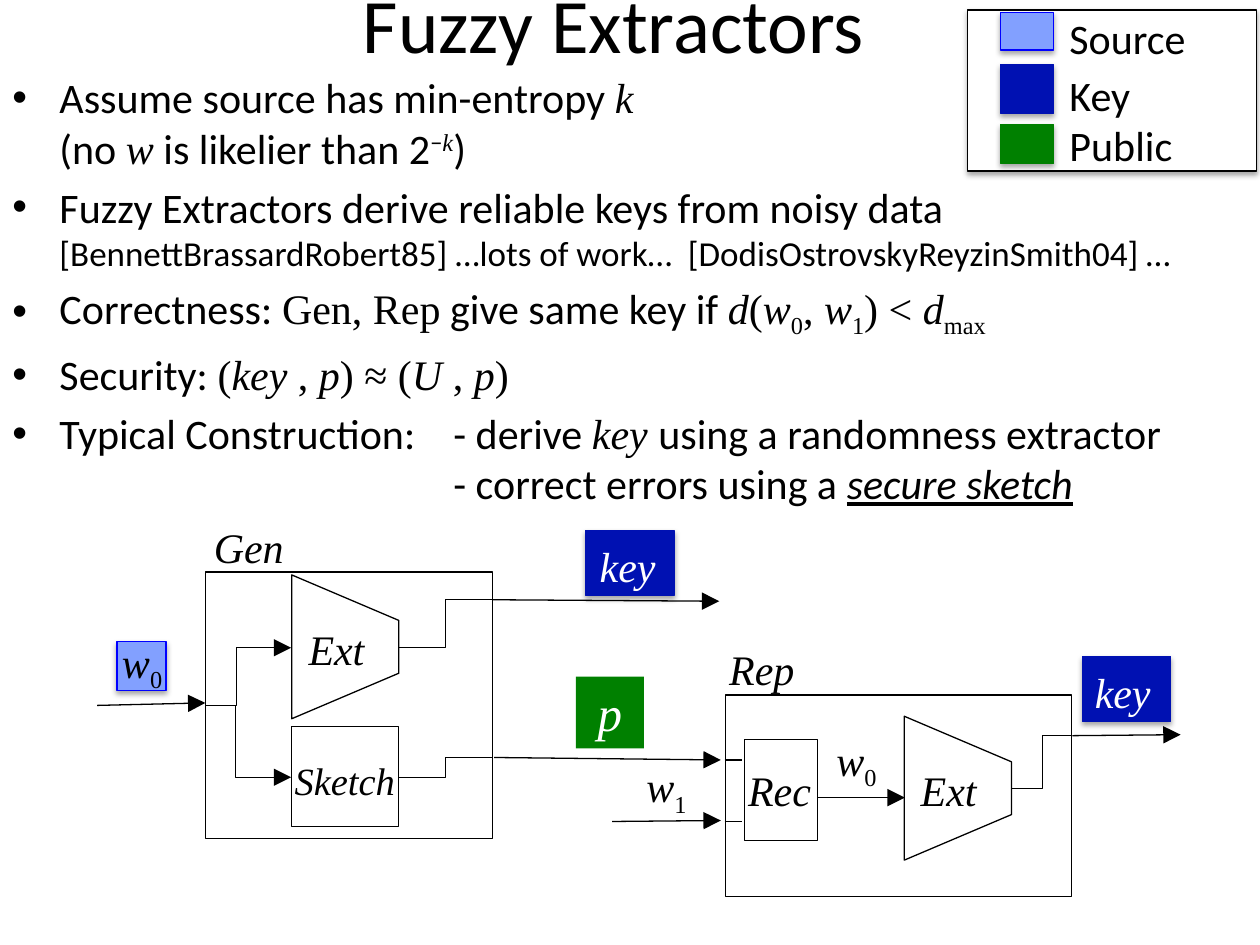
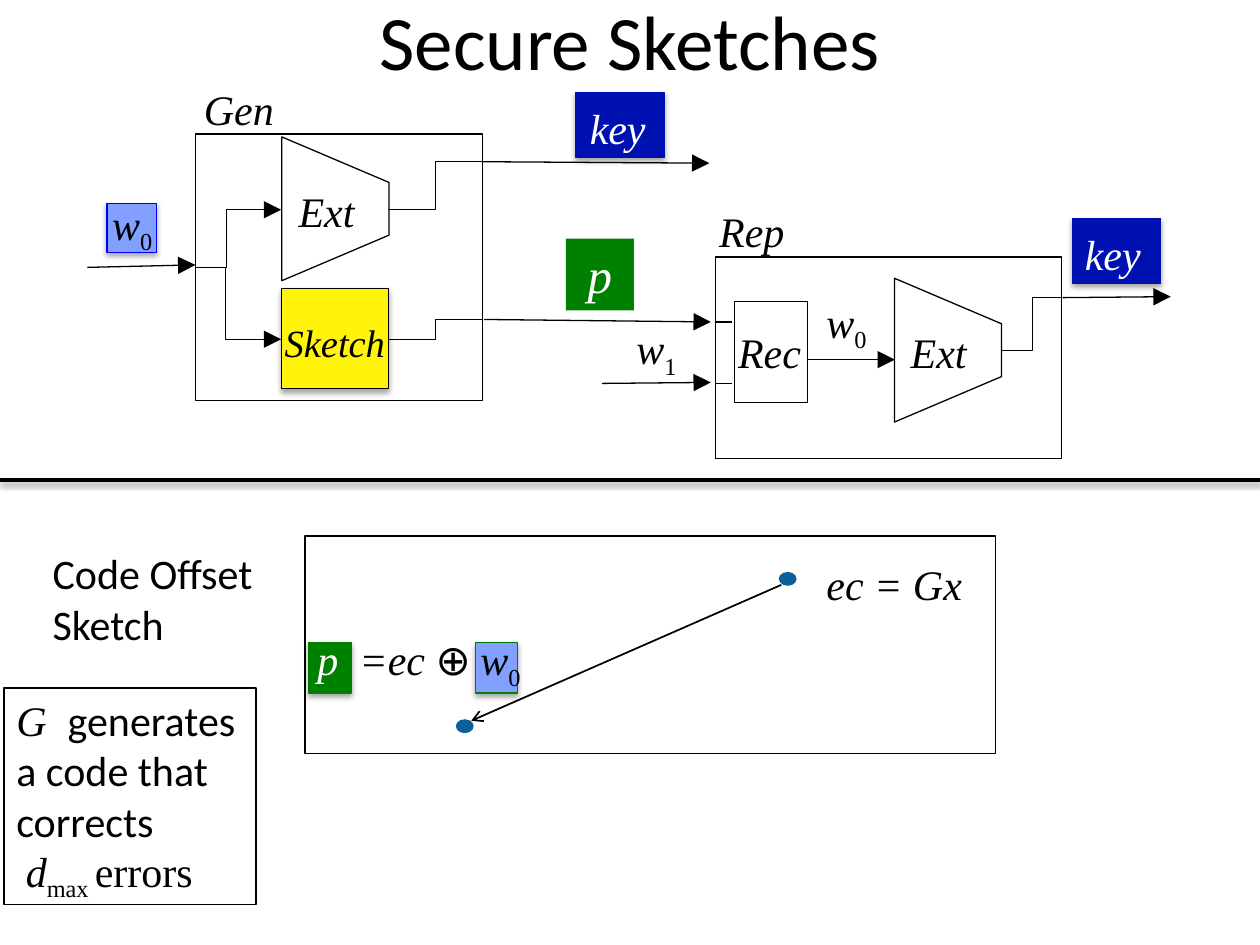
"""Build two slides on fuzzy extractors and secure sketches."""
from dataclasses import dataclass
from typing import Any, Optional

from lxml import etree
from pptx import Presentation
from pptx import util as u
from pptx.dml import color as dml
from pptx.enum import shapes, text
from pptx.oxml import ns

COLORS = {
    "black": "000000", "white": "FFFFFF", "source": "82A0FF", "source_line": "0000FF",
    "key": "0011B2", "public": "008000", "highlight": "FFF40A", "dot": "0B609A",
}
SANS, SERIF = "Calibri", "Times New Roman"
PLAIN = {"font": SANS}
MATH = {"font": SERIF, "italic": True}
ROMAN = {"font": SERIF}
SUB = {"font": SERIF, "baseline": -25}
Runs = list[tuple[str, dict[str, Any]]]
W0: Runs = [("w", MATH), ("0", SUB)]
W1: Runs = [("w", MATH), ("1", SUB)]


@dataclass
class Box:
    """A shape placed in centimetres."""
    left: float
    top: float
    width: float
    height: float
    fill: Optional[str] = None
    line: Optional[str] = "black"
    shadow: bool = False
    kind: shapes.MSO_SHAPE = shapes.MSO_SHAPE.RECTANGLE
    weight: float = 0.75


@dataclass
class Label:
    """A text box placed in centimetres."""
    left: float
    top: float
    width: float
    runs: Runs
    height: float = 1.27
    size: float = 24
    color: str = "black"
    wrap: bool = False
    centered: bool = False
    fill: Optional[str] = None
    line: Optional[str] = None


@dataclass
class Wire:
    """A straight or bent line; bend is the share of its width before the turn."""
    start: tuple[float, float]
    end: tuple[float, float]
    head: Optional[str] = None
    bend: Optional[float] = None
    weight: float = 0.75
    shadow: bool = False


GEN_REP_BOXES = [
    Box(11.81, 10.69, 1.78, 1.32, "key", "key", True),
    Box(21.82, 13.23, 1.78, 1.32, "key", "key", True),
    Box(2.36, 12.93, 0.99, 0.99, "source", "source_line", True),
    Box(4.14, 11.53, 5.79, 5.38),
    Box(14.62, 14.01, 6.98, 4.06),
    Box(15.01, 14.91, 1.47, 2.03),
    Box(5.51, 11.96, 2.9, 2.16, kind=shapes.MSO_SHAPE.TRAPEZOID),
    Box(17.86, 14.81, 2.9, 2.16, kind=shapes.MSO_SHAPE.TRAPEZOID),
]
GEN_REP_WIRES = [
    Wire((1.96, 14.22), (4.14, 14.17), "triangle"),
    Wire((9.93, 12.09), (14.5, 12.12), "triangle"),
    Wire((9.96, 15.27), (14.53, 15.32), "triangle"),
    Wire((12.34, 16.56), (14.53, 16.54), "triangle"),
    Wire((21.62, 14.83), (23.8, 14.81), "triangle"),
    Wire((16.48, 16.08), (18.24, 16.08), "triangle"),
    Wire((14.61, 15.32), (14.96, 15.32)),
    Wire((14.61, 16.56), (14.96, 16.56)),
    Wire((4.14, 14.22), (5.87, 13.06), "triangle", 0.36),
    Wire((4.14, 14.22), (5.87, 15.67), "triangle", 0.35),
    Wire((9.93, 12.09), (8.03, 13.06), bend=0.5),
    Wire((9.93, 15.27), (8.03, 15.67), bend=0.5),
    Wire((21.62, 14.83), (20.4, 15.9), bend=0.5),
]
GEN_REP_LABELS = [
    Label(4.06, 10.39, 2.21, [("Gen", MATH)]),
    Label(14.45, 12.85, 2.13, [("Rep", MATH)]),
    Label(5.97, 12.45, 1.93, [("Ext", MATH)]),
    Label(18.31, 15.29, 1.93, [("Ext", MATH)]),
    Label(5.69, 15.14, 2.82, [("Sketch", MATH)], height=1.19, size=22),
    Label(14.83, 15.29, 2.08, [("Rec", MATH)]),
    Label(11.84, 10.77, 1.93, [("key", MATH)], color="white"),
    Label(21.82, 13.31, 1.93, [("key", MATH)], color="white"),
    Label(11.61, 13.64, 1.37, [("p", MATH)], height=1.45, size=28, color="white",
          centered=True, fill="public"),
    Label(2.21, 12.7, 1.47, W0),
    Label(16.61, 14.68, 1.47, W0),
    Label(12.78, 15.21, 1.47, W1),
]
BULLETS: list[Runs] = [
    [("Assume source has min-entropy ", PLAIN), ("k\n", MATH), ("(no ", PLAIN), ("w", MATH),
     (" is likelier than 2", PLAIN), ("−", {"baseline": 30}),
     ("k", {**MATH, "baseline": 30}), (")", PLAIN)],
    [("Fuzzy Extractors derive reliable keys from noisy data ", PLAIN),
     ("[BennettBrassardRobert85] …lots of work…  [DodisOstrovskyReyzinSmith04] …",
      {"size": 20})],
    [("Correctness: ", PLAIN), ("Gen, Rep", ROMAN), (" give same key if ", PLAIN),
     ("d", MATH), ("(", ROMAN), *W0, (", ", ROMAN), *W1, (") < ", ROMAN),
     ("d", MATH), ("max", SUB)],
    [("Security: ", PLAIN), ("(", ROMAN), ("key", MATH), (" , ", ROMAN), ("p", MATH),
     (") ≈ (", ROMAN), ("U", MATH), (" , ", ROMAN), ("p", MATH), (")", ROMAN)],
    [("Typical Construction: \t- derive ", PLAIN), ("key ", MATH),
     ("using a randomness extractor", PLAIN)],
]
LAST_LINE: Runs = [("- correct errors using a ", PLAIN),
                   ("secure sketch", {"italic": True, "underline": True})]


def rgb(name: str) -> dml.RGBColor:
    """Look up a colour by name."""
    return dml.RGBColor.from_string(COLORS[name])


def child(parent: Any, tag: str, **attributes: Any) -> Any:
    """Append a DrawingML element."""
    return etree.SubElement(parent, ns.qn(f"a:{tag}"),
                            {key: str(value) for key, value in attributes.items()})


def cast_shadow(effects: Any) -> None:
    """Add a soft shadow below the object."""
    shadow = child(effects, "outerShdw", blurRad=40000, dist=23000, dir=5400000, rotWithShape=0)
    child(child(shadow, "srgbClr", val=COLORS["black"]), "alpha", val=35000)


def paint(shape: Any, fill: Optional[str], line: Optional[str], weight: float = 0.75) -> None:
    """Set fill and outline, or clear them."""
    for target, name in ((shape.fill, fill), (shape.line.fill, line)):
        if name:
            target.solid()
            target.fore_color.rgb = rgb(name)
        else:
            target.background()
    if line:
        shape.line.width = u.Pt(weight)


def write(paragraph: Any, content: str, *, font: str = SANS, size: float = 24,
          color: str = "black", italic: bool = False, underline: bool = False,
          baseline: int = 0) -> None:
    """Add formatted text to a paragraph, breaking lines at newlines."""
    for index, part in enumerate(content.split("\n")):
        if index:
            paragraph.add_line_break()
        if not part:
            continue
        run = paragraph.add_run()
        run.text = part
        run.font.name, run.font.size = font, u.Pt(size)
        run.font.italic, run.font.underline = italic, underline
        run.font.color.rgb = rgb(color)
        if baseline:
            run.font._element.set("baseline", str(baseline * 1000))


def draw_box(slide: Any, box: Box, dx: float = 0, dy: float = 0) -> None:
    """Draw a box; trapezoids point to the right."""
    shape = slide.shapes.add_shape(box.kind, u.Cm(box.left + dx), u.Cm(box.top + dy),
                                   u.Cm(box.width), u.Cm(box.height))
    shape.shadow.inherit = False
    paint(shape, box.fill, box.line, box.weight)
    if box.shadow:
        cast_shadow(shape._element.spPr.find(ns.qn("a:effectLst")))
    if box.kind == shapes.MSO_SHAPE.TRAPEZOID:
        shape.rotation = 90
        shape.adjustments[0] = 0.425


def draw_label(slide: Any, label: Label, dx: float = 0, dy: float = 0) -> None:
    """Draw a text box of one paragraph."""
    shape = slide.shapes.add_textbox(u.Cm(label.left + dx), u.Cm(label.top + dy),
                                     u.Cm(label.width), u.Cm(label.height))
    paint(shape, label.fill, label.line)
    frame = shape.text_frame
    frame.word_wrap = label.wrap
    frame.auto_size = text.MSO_AUTO_SIZE.SHAPE_TO_FIT_TEXT
    paragraph = frame.paragraphs[0]
    if label.centered:
        paragraph.alignment = text.PP_ALIGN.CENTER
    for content, style in label.runs:
        write(paragraph, content, **{"size": label.size, "color": label.color, **style})


def draw_wire(slide: Any, wire: Wire, dx: float = 0, dy: float = 0) -> None:
    """Draw a line with an optional bend and arrowhead."""
    kind = shapes.MSO_CONNECTOR.STRAIGHT if wire.bend is None else shapes.MSO_CONNECTOR.ELBOW
    (x1, y1), (x2, y2) = wire.start, wire.end
    connector = slide.shapes.add_connector(kind, u.Cm(x1 + dx), u.Cm(y1 + dy),
                                           u.Cm(x2 + dx), u.Cm(y2 + dy))
    connector.line.color.rgb = rgb("black")
    connector.line.width = u.Pt(wire.weight)
    properties = connector._element.spPr
    if wire.head:
        size = "lg" if wire.head == "triangle" else "med"
        child(properties.find(ns.qn("a:ln")), "tailEnd", type=wire.head, w=size, len=size)
    if wire.bend is not None:
        guides = properties.find(ns.qn("a:prstGeom")).find(ns.qn("a:avLst"))
        child(guides, "gd", name="adj1", fmla=f"val {round(wire.bend * 100000)}")
    effects = child(properties, "effectLst")
    if wire.shadow:
        cast_shadow(effects)


def draw_title(slide: Any, title: str, left: float, top: float, height: float) -> None:
    """Draw the centred slide title."""
    frame = slide.shapes.add_textbox(u.Cm(left), u.Cm(top), u.Cm(22.86), u.Cm(height)).text_frame
    frame.word_wrap = True
    frame.vertical_anchor = text.MSO_ANCHOR.MIDDLE
    frame.paragraphs[0].alignment = text.PP_ALIGN.CENTER
    write(frame.paragraphs[0], title, size=44)


def draw_gen_rep(slide: Any, sketch: Box, dx: float = 0, dy: float = 0) -> None:
    """Draw the Gen and Rep diagram, shifted by dx and dy."""
    for box in [*GEN_REP_BOXES, sketch]:
        draw_box(slide, box, dx, dy)
    for wire in GEN_REP_WIRES:
        draw_wire(slide, wire, dx, dy)
    for label in GEN_REP_LABELS:
        draw_label(slide, label, dx, dy)


def draw_bullets(slide: Any) -> None:
    """Draw the bulleted list and its indented last line."""
    frame = slide.shapes.add_textbox(0, u.Cm(1.32), u.Cm(25.4), u.Cm(7.92)).text_frame
    frame.word_wrap = True
    for index, runs in enumerate([*BULLETS, LAST_LINE]):
        paragraph = frame.add_paragraph() if index else frame.paragraphs[0]
        properties = paragraph._p.get_or_add_pPr()
        properties.set("defTabSz", str(u.Cm(1.27)))
        if runs is LAST_LINE:
            properties.set("marL", str(u.Cm(8.89)))
        else:
            paragraph.space_before = u.Pt(5)
            properties.set("marL", str(u.Cm(0.95)))
            properties.set("indent", str(u.Cm(-0.95)))
            child(properties, "buFont", typeface="Arial")
            child(properties, "buChar", char="•")
        for content, style in runs:
            write(paragraph, content, **style)


def draw_legend(slide: Any) -> None:
    """Draw the colour legend."""
    draw_box(slide, Box(19.51, 0.2, 5.82, 3.25, "white", shadow=True))
    for name, fill, line, top, height, label_top in (
            ("Source", "source", "source_line", 0.25, 0.76, 0.13),
            ("Key", "key", "key", 1.3, 0.99, 1.27),
            ("Public", "public", "public", 2.51, 0.79, 2.29)):
        draw_box(slide, Box(20.17, top, 1.07, height, fill, line, True))
        draw_label(slide, Label(21.31, label_top, 3.5, [(name, PLAIN)], wrap=True))


def draw_code_offset(slide: Any) -> None:
    """Draw the code offset construction below the divider."""
    draw_wire(slide, Wire((25.4, 9.68), (0, 9.68), weight=2, shadow=True))
    draw_box(slide, Box(6.15, 10.8, 13.92, 4.39, weight=1))
    for left, fill in ((6.22, "public"), (9.58, "source")):
        draw_box(slide, Box(left, 12.95, 0.86, 1.02, fill, "public", True))
    draw_wire(slide, Wire((15.75, 11.79), (9.5, 14.53), "arrow", weight=1))
    for left, top in ((9.19, 14.5), (15.7, 11.53)):
        draw_box(slide, Box(left, top, 0.36, 0.28, "dot", None, kind=shapes.MSO_SHAPE.OVAL))
    for label in (
            Label(0.81, 10.92, 4.6, [("Code Offset\nSketch", PLAIN)], height=2.31),
            Label(6.15, 12.65, 5.79, [("p ", {**MATH, "color": "white"}), (" =ec ", MATH),
                                      ("⊕ ", PLAIN), *W0], wrap=True),
            Label(0.08, 13.87, 5.08, [("G  ", MATH), ("generates\na code that\ncorrects\n ", PLAIN),
                                      ("d", MATH), ("max ", SUB), ("errors", ROMAN)],
                  height=4.37, line="black"),
            Label(16.41, 11.13, 3.35, [("ec = Gx", MATH)])):
        draw_label(slide, label)


def main() -> None:
    """Build and save the presentation."""
    presentation = Presentation()
    presentation.slide_width, presentation.slide_height = u.Cm(25.4), u.Cm(19.05)
    blank = presentation.slide_layouts[6]

    slide = presentation.slides.add_slide(blank)
    draw_title(slide, "Fuzzy Extractors", 0.94, -0.74, 2.39)
    draw_legend(slide)
    draw_bullets(slide)
    draw_gen_rep(slide, Box(5.88, 14.64, 2.16, 2.03))

    slide = presentation.slides.add_slide(blank)
    draw_title(slide, "Secure Sketches", 1.27, -0.79, 3.18)
    draw_gen_rep(slide, Box(5.88, 14.64, 2.16, 2.03, "highlight", shadow=True), -0.2, -8.83)
    draw_code_offset(slide)
    presentation.save("out.pptx")


if __name__ == "__main__":
    main()
